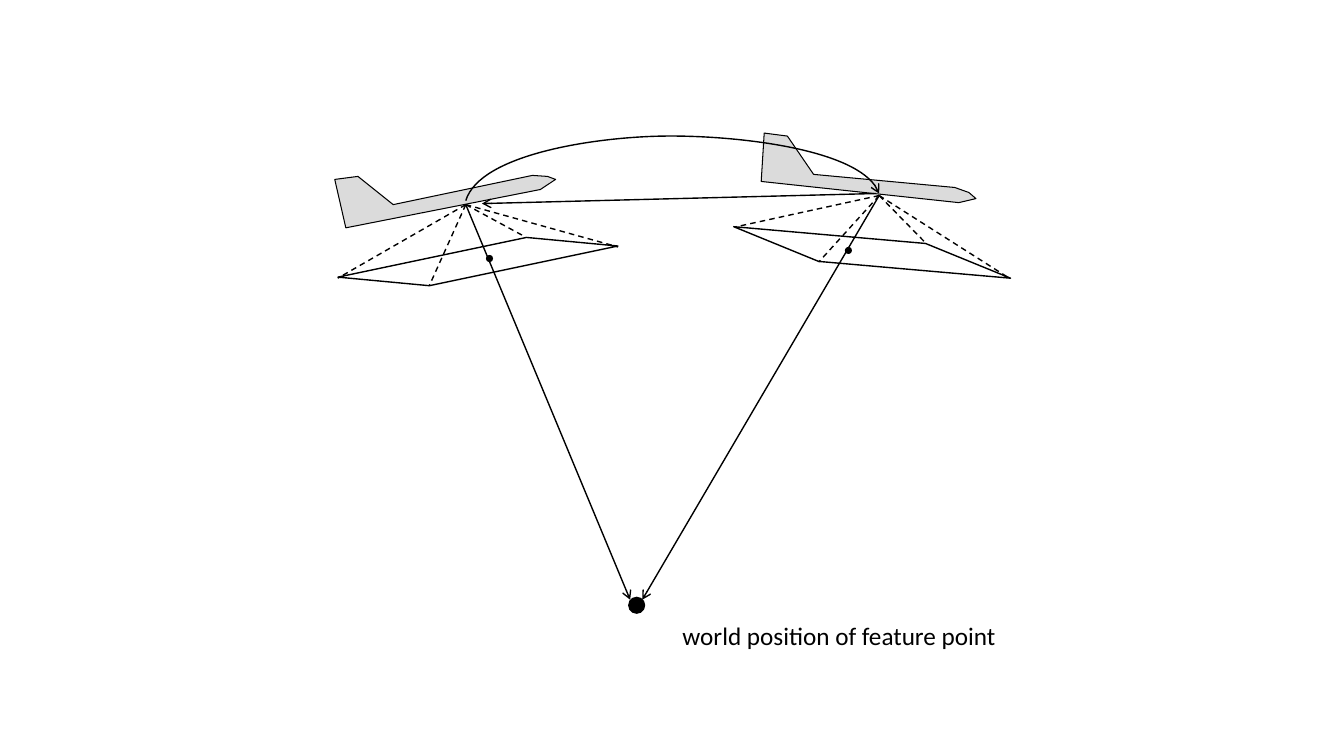
from lxml.etree import SubElement
from pptx import Presentation
from pptx.dml.color import RGBColor
from pptx.enum.dml import MSO_LINE_DASH_STYLE as Dash
from pptx.enum.shapes import MSO_CONNECTOR as Connector, MSO_SHAPE as Shape
from pptx.enum.text import MSO_AUTO_SIZE as AutoSize
from pptx.oxml.ns import qn
from pptx.util import Cm, Pt

COLOURS = {"ink": "000000", "aircraft": "DBDBDB", "paper": "FFFFFF"}
FONT = "Calibri"
CM_PER_INCH = 2.54


def inches(*values):
    return [Cm(value * CM_PER_INCH) for value in values]


class Diagram:
    def __init__(self, page):
        self.page = page
        self.shapes = page.shapes

    def colour(self, name):
        return RGBColor.from_string(COLOURS[name])

    def stroke(self, shape, width=1):
        shape.line.color.rgb = self.colour("ink")
        shape.line.width = Pt(width)

    def paint(self, shape, name):
        shape.shadow.inherit = False
        shape.fill.solid()
        shape.fill.fore_color.rgb = self.colour(name)

    def arrowhead(self, shape):
        outline = shape.line._get_or_add_ln()
        SubElement(outline, qn("a:tailEnd"), type="arrow")

    def outline(self, points, close):
        corners = [inches(*point) for point in points]
        builder = self.shapes.build_freeform(*corners[0])
        builder.add_line_segments(corners[1:], close=close)
        return builder.convert_to_shape()

    def aircraft(self, points):
        shape = self.outline(points, close=True)
        self.paint(shape, "aircraft")
        self.stroke(shape, 0.75)

    def image_plane(self, left, top, rotation):
        shape = self.shapes.add_shape(Shape.PARALLELOGRAM, *inches(left, top, 2.78, 0.27))
        shape.adjustments[0] = 3.22
        shape.rotation = rotation
        shape._element.spPr.find(qn("a:xfrm")).set("flipV", "1")
        self.paint(shape, "paper")
        self.stroke(shape)

    def dot(self, left, top, size):
        shape = self.shapes.add_shape(Shape.OVAL, *inches(left, top, size, size))
        self.paint(shape, "ink")
        shape.line.fill.background()

    def line(self, start, end, dashed=False, arrow=False):
        shape = self.shapes.add_connector(Connector.STRAIGHT, *inches(*start, *end))
        self.stroke(shape)
        if dashed:
            shape.line.dash_style = Dash.DASH
        if arrow:
            self.arrowhead(shape)
        SubElement(shape._element.spPr, qn("a:effectLst"))

    def curved_arrow(self, points):
        shape = self.outline(points, close=False)
        shape.shadow.inherit = False
        shape.fill.background()
        self.stroke(shape)
        self.arrowhead(shape)
        track = shape._element.spPr.find(".//" + qn("a:path"))
        segments = track.findall(qn("a:lnTo"))
        for first in range(0, len(segments), 3):
            curve = SubElement(track, qn("a:cubicBezTo"))
            for segment in segments[first:first + 3]:
                curve.append(segment[0])
                track.remove(segment)

    def label(self, text, left, top, width, height):
        box = self.shapes.add_textbox(*inches(left, top, width, height))
        frame = box.text_frame
        frame.word_wrap = False
        frame.auto_size = AutoSize.SHAPE_TO_FIT_TEXT
        para = frame.paragraphs[0]
        para.text = text
        para.font.name = FONT
        para.font.size = Pt(18)
        para.font.color.rgb = self.colour("ink")


def main():
    deck = Presentation()
    deck.slide_width, deck.slide_height = inches(13.33, 7.5)
    diagram = Diagram(deck.slides.add_slide(deck.slide_layouts[6]))

    left_camera, right_camera = (4.62, 2.03), (8.72, 1.94)
    left_corners = [(4.26, 2.83), (6.13, 2.45), (5.21, 2.35), (3.35, 2.76)]
    right_corners = [(8.12, 2.6), (10.01, 2.76), (7.3, 2.25), (9.19, 2.42)]

    diagram.aircraft([(3.43, 2.26), (3.32, 1.78), (3.55, 1.75), (3.9, 2.03),
                      (5.28, 1.74), (5.43, 1.75), (5.51, 1.78), (5.36, 1.88)])
    diagram.aircraft([(7.55, 1.8), (7.58, 1.32), (7.81, 1.35), (8.07, 1.73),
                      (9.47, 1.86), (9.61, 1.91), (9.68, 1.97), (9.51, 2.01)])
    diagram.image_plane(7.26, 2.37, 5)
    diagram.image_plane(3.35, 2.46, 348.1)
    diagram.dot(6.23, 5.92, 0.17)

    diagram.line(right_camera, (6.37, 5.95), arrow=True)
    diagram.line(left_camera, (6.25, 5.95), arrow=True)
    for camera, corners in ((left_camera, left_corners), (right_camera, right_corners)):
        for corner in corners:
            diagram.line(camera, corner, dashed=True)

    diagram.curved_arrow([(4.62, 1.99), (4.76, 1.53), (5.9, 1.36), (6.58, 1.35),
                          (7.26, 1.34), (8.57, 1.48), (8.72, 1.92)])
    diagram.line((8.69, 1.92), (4.78, 2.02), arrow=True)
    for left, top in ((4.82, 2.53), (8.38, 2.45)):
        diagram.dot(left, top, 0.07)
    diagram.label("world position of feature point", 6.67, 6.1, 3.35, 0.4)

    deck.save("out.pptx")


if __name__ == "__main__":
    main()
